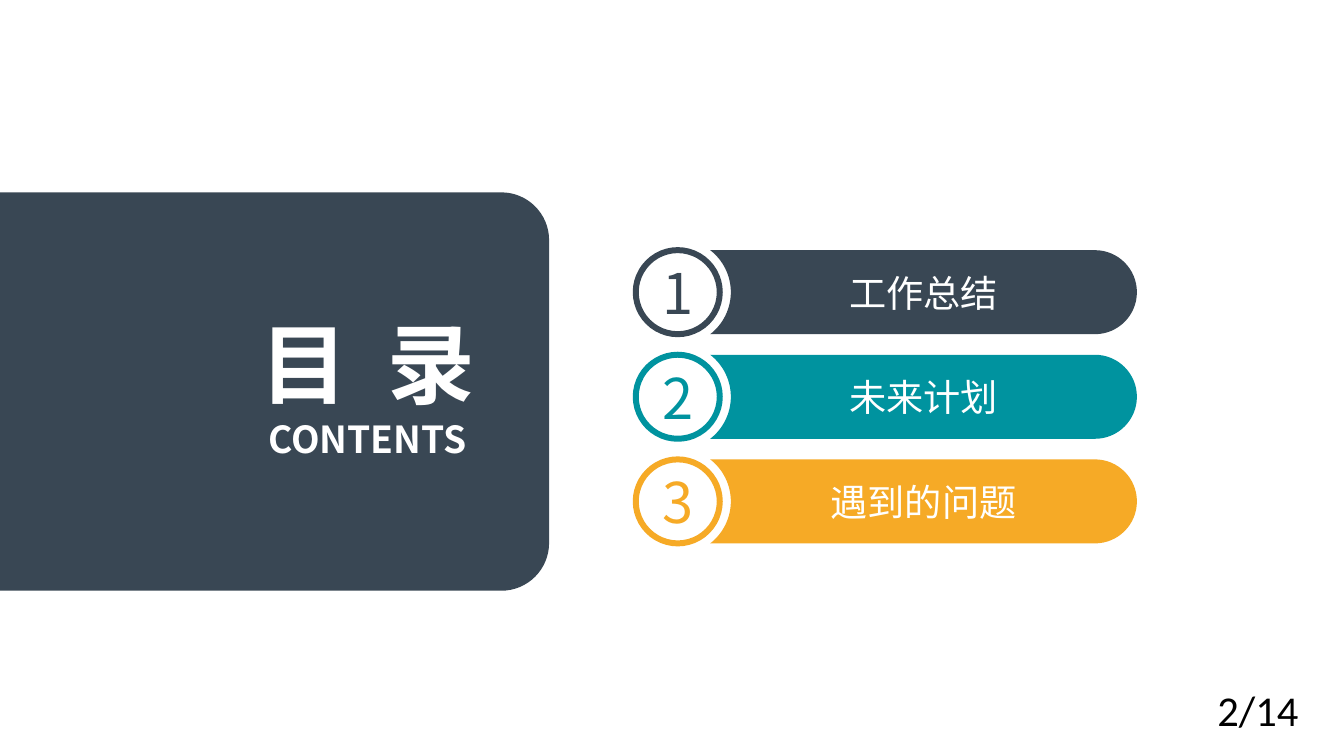
import math
from dataclasses import dataclass
from typing import List, Optional, Tuple

from lxml import etree
from pptx import Presentation
from pptx import util as u
from pptx.dml.color import RGBColor
from pptx.enum import shapes, text
from pptx.oxml import ns

Point = Tuple[float, float]
Step = List[Point]  # one point for a line, three for a curve

NAVY = RGBColor(0x39, 0x47, 0x54)
TEAL = RGBColor(0x00, 0x93, 0x9F)
AMBER = RGBColor(0xF6, 0xAA, 0x26)
WHITE = RGBColor(0xFF, 0xFF, 0xFF)
BLACK = RGBColor(0x00, 0x00, 0x00)
HEADING_FONT = "Noto Sans CJK SC"
PAGE_FONT = "Calibri"

# Panel and agenda geometry, in points
PANEL_TOP, PANEL_BOTTOM, PANEL_RIGHT, PANEL_RADIUS = 144.9, 445, 413.7, 36
BAR_HEIGHT, BAR_RIGHT = 63.3, 856.5
FIRST_CENTER_Y, ROW_PITCH = 220.1, 78.8
BADGE_CENTER_X, NOTCH_RADIUS = 510.6, 40


@dataclass
class AgendaItem:
    title: str
    color: RGBColor


@dataclass
class TextStyle:
    size: float
    color: RGBColor
    font: str = HEADING_FONT
    bold: bool = False


AGENDA = [
    AgendaItem("工作总结", NAVY),
    AgendaItem("未来计划", TEAL),
    AgendaItem("遇到的问题", AMBER),
]


def arc(center: Point, radius: float, *angles: float) -> List[Step]:
    """A line to the first angle, then one curve to each further angle."""

    def locate(angle: float, handle: float = 0) -> Point:
        cosine, sine = math.cos(angle), math.sin(angle)
        return (center[0] + radius * (cosine - handle * sine),
                center[1] + radius * (sine + handle * cosine))

    turns = [math.radians(angle) for angle in angles]
    steps = [[locate(turns[0])]]
    for start, end in zip(turns, turns[1:]):
        handle = 4 / 3 * math.tan((end - start) / 4)
        steps.append([locate(start, handle), locate(end, -handle), locate(end)])
    return steps


def paint(shape, fill: RGBColor, line: Optional[RGBColor] = None) -> None:
    shape.shadow.inherit = False
    shape.fill.solid()
    shape.fill.fore_color.rgb = fill
    if line is None:
        shape.line.fill.background()
    else:
        shape.line.color.rgb = line
        shape.line.width = u.Pt(4.5)


def add_outline(slide, steps: List[Step], fill: RGBColor):
    ends = [(u.Pt(step[-1][0]), u.Pt(step[-1][1])) for step in steps]
    builder = slide.shapes.build_freeform(*ends[0])
    builder.add_line_segments(ends[1:], close=True)
    shape = builder.convert_to_shape()
    # Bend the segments that have control points
    segments = list(shape._element.iter(ns.qn("a:lnTo")))
    for segment, step in zip(segments, steps[1:]):
        if len(step) == 3:
            curve = etree.Element(ns.qn("a:cubicBezTo"))
            for x, y in step:
                etree.SubElement(curve, ns.qn("a:pt"),
                                 x=str(u.Pt(x) - shape.left), y=str(u.Pt(y) - shape.top))
            segment.getparent().replace(segment, curve)
    paint(shape, fill)
    return shape


def add_run(paragraph, content: str, style: TextStyle):
    run = paragraph.add_run()
    run.text = content
    run.font.size = u.Pt(style.size)
    run.font.name = style.font
    run.font.bold = style.bold
    run.font.color.rgb = style.color
    etree.SubElement(run.font._element, ns.qn("a:ea"), typeface=style.font)
    return run


def prepare_text(shape, anchor: text.MSO_ANCHOR = text.MSO_ANCHOR.MIDDLE):
    """Centre the text without margins and return its first paragraph."""
    frame = shape.text_frame
    frame.word_wrap = True
    frame.vertical_anchor = anchor
    frame.margin_left = frame.margin_right = u.Pt(0)
    frame.margin_top = frame.margin_bottom = u.Pt(0)
    paragraph = frame.paragraphs[0]
    paragraph.alignment = text.PP_ALIGN.CENTER
    return paragraph


def add_box(slide, left: float, top: float, width: float, height: float):
    return slide.shapes.add_textbox(u.Pt(left), u.Pt(top), u.Pt(width), u.Pt(height))


def add_agenda_item(slide, number: int, item: AgendaItem) -> None:
    center_y = FIRST_CENTER_Y + (number - 1) * ROW_PITCH
    radius = BAR_HEIGHT / 2
    notch = math.degrees(math.asin(radius / NOTCH_RADIUS))
    bar = add_outline(
        slide,
        arc((BADGE_CENTER_X, center_y), NOTCH_RADIUS, notch, 0, -notch)
        + arc((BAR_RIGHT - radius, center_y), radius, -90, 0, 90),
        item.color)
    add_run(prepare_text(bar), item.title, TextStyle(28, WHITE))

    badge = slide.shapes.add_shape(
        shapes.MSO_SHAPE.OVAL, u.Pt(BADGE_CENTER_X - radius), u.Pt(center_y - radius),
        u.Pt(BAR_HEIGHT), u.Pt(BAR_HEIGHT))
    paint(badge, WHITE, item.color)
    add_run(prepare_text(badge), str(number), TextStyle(42.2, item.color))


presentation = Presentation()
presentation.slide_width = u.Pt(1012.5)
presentation.slide_height = u.Pt(569.5)
slide = presentation.slides.add_slide(presentation.slide_layouts[6])

# Title panel, rounded on the right
corner_x = PANEL_RIGHT - PANEL_RADIUS
add_outline(
    slide,
    [[(0, PANEL_TOP)]]
    + arc((corner_x, PANEL_TOP + PANEL_RADIUS), PANEL_RADIUS, -90, 0)
    + arc((corner_x, PANEL_BOTTOM - PANEL_RADIUS), PANEL_RADIUS, 0, 90)
    + [[(0, PANEL_BOTTOM)]],
    NAVY)

# Agenda rows
for number, item in enumerate(AGENDA, start=1):
    add_agenda_item(slide, number, item)

# Panel title; letter spacing widens the gap between its two characters
title_style = TextStyle(66, WHITE, bold=True)
title = prepare_text(add_box(slide, 164.2, 233.3, 226, 80))
add_run(title, "目", title_style)
gap = add_run(title, " ", title_style)
gap.font._element.set("spc", "1500")
add_run(title, "录", title_style)

# Panel subtitle
subtitle = prepare_text(add_box(slide, 164.9, 313.8, 224, 34), text.MSO_ANCHOR.TOP)
add_run(subtitle, "CONTENTS", TextStyle(28, WHITE, bold=True))

# Page number
page = add_box(slide, 910.1, 511.5, 102.2, 44)
page.text_frame.word_wrap = True
add_run(page.text_frame.paragraphs[0], "2/14", TextStyle(32, BLACK, PAGE_FONT))

presentation.save("out.pptx")
